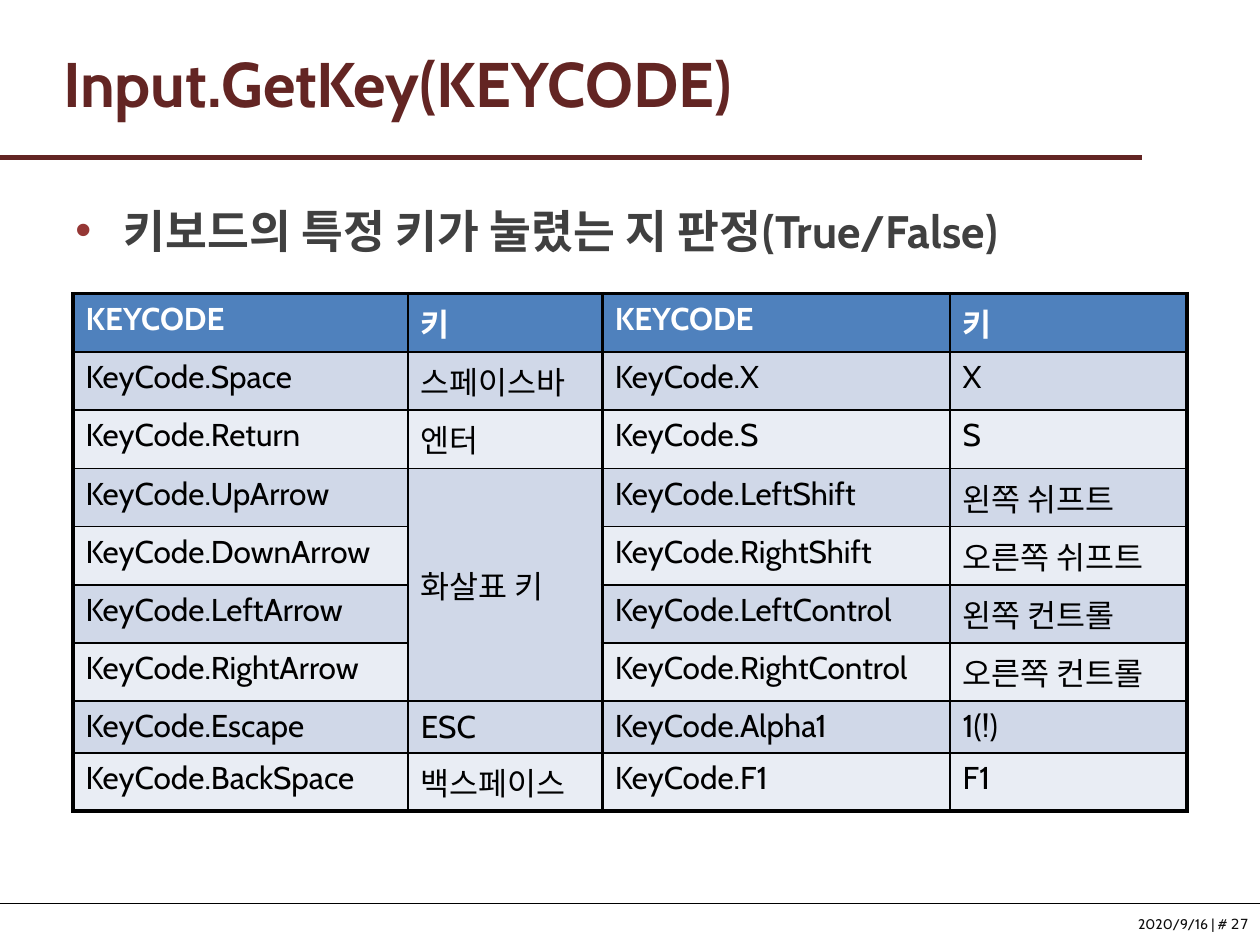
from typing import NamedTuple

from lxml import etree
from pptx import Presentation
from pptx.dml.color import RGBColor
from pptx.enum import shapes, text
from pptx.oxml.ns import qn
from pptx.util import Inches, Pt

FONT = "Cabin"
MAROON = RGBColor(0x63, 0x25, 0x23)
BULLET_RED = RGBColor(0x95, 0x37, 0x35)
CHARCOAL = RGBColor(0x40, 0x40, 0x40)
FOOTER_INK = RGBColor(0x0D, 0x0D, 0x0D)
BLACK = RGBColor(0, 0, 0)
WHITE = RGBColor(0xFF, 0xFF, 0xFF)
HEADER_BLUE = RGBColor(0x4F, 0x81, 0xBD)
BANDS = (RGBColor(0xE9, 0xED, 0xF4), RGBColor(0xD0, 0xD8, 0xE8))
THIN, THICK = 1, 2.25


class Rule(NamedTuple):
    y: float
    width: float
    color: RGBColor
    weight: float


class KeyRow(NamedTuple):
    left_code: str
    left_key: str
    right_code: str
    right_key: str


RULES = [Rule(1.25, 9.06, MAROON, 3), Rule(7.17, 10, BLACK, 1)]
KEY_ROWS = [
    KeyRow("KEYCODE", "키", "KEYCODE", "키"),
    KeyRow("KeyCode.Space", "스페이스바", "KeyCode.X", "X"),
    KeyRow("KeyCode.Return", "엔터", "KeyCode.S", "S"),
    KeyRow("KeyCode.UpArrow", "화살표 키", "KeyCode.LeftShift", "왼쪽 쉬프트"),
    KeyRow("KeyCode.DownArrow", "", "KeyCode.RightShift", "오른쪽 쉬프트"),
    KeyRow("KeyCode.LeftArrow", "", "KeyCode.LeftControl", "왼쪽 컨트롤"),
    KeyRow("KeyCode.RightArrow", "", "KeyCode.RightControl", "오른쪽 컨트롤"),
    KeyRow("KeyCode.Escape", "ESC", "KeyCode.Alpha1", "1(!)"),
    KeyRow("KeyCode.BackSpace", "백스페이스", "KeyCode.F1", "F1"),
]
COLUMN_WIDTHS = (2.66, 1.54, 2.76, 1.88)
TABLE_HEIGHT = 4.11
LATIN_ROW_HEIGHT = 0.41  # the one row without Korean text
KOREAN_ROW_HEIGHT = (TABLE_HEIGHT - LATIN_ROW_HEIGHT) / (len(KEY_ROWS) - 1)
ESCAPE_ROW = 7
ARROW_ROWS = (3, 6)


def style_font(font, size: float, color: RGBColor, bold: bool = False,
               name: str = FONT) -> None:
    font.name = name
    font.size = Pt(size)
    font.bold = bold
    font.color.rgb = color


def add_rule(page, rule: Rule) -> None:
    y = Inches(rule.y)
    line = page.shapes.add_connector(
        shapes.MSO_CONNECTOR.STRAIGHT, 0, y, Inches(rule.width), y)
    line.line.color.rgb = rule.color
    line.line.width = Pt(rule.weight)
    etree.SubElement(line._element.spPr, qn("a:effectLst"))


def add_title(page, words: str) -> None:
    title = page.shapes.title
    title.left, title.top = Inches(0.3), Inches(0.22)
    title.width, title.height = Inches(9), Inches(0.87)
    frame = title.text_frame
    frame.text = words
    frame.margin_left = Inches(0.2)
    frame.vertical_anchor = text.MSO_ANCHOR.MIDDLE
    para = frame.paragraphs[0]
    para.alignment = text.PP_ALIGN.LEFT
    style_font(para.font, 36, MAROON, bold=True)


def add_bullet_text(page, words: str) -> None:
    box = page.shapes.add_textbox(
        Inches(0.5), Inches(1.56), Inches(9), Inches(0.6))
    box.text_frame.word_wrap = True
    para = box.text_frame.paragraphs[0]
    para.text = words
    properties = para._p.get_or_add_pPr()
    properties.set("marL", str(Inches(0.38)))
    properties.set("indent", str(-Inches(0.38)))
    color = etree.SubElement(properties, qn("a:buClr"))
    etree.SubElement(color, qn("a:srgbClr"), val=str(BULLET_RED))
    etree.SubElement(properties, qn("a:buFont"), typeface="Arial")
    etree.SubElement(properties, qn("a:buChar"), char="•")
    style_font(para.font, 26, CHARCOAL, bold=True)
    # The Korean words and their spaces use the same typeface
    span_properties = para.runs[0]._r.get_or_add_rPr()
    etree.SubElement(span_properties, qn("a:ea"), typeface=FONT)


def set_borders(cell, left: float, right: float, top: float, bottom: float) -> None:
    properties = cell._tc.get_or_add_tcPr()
    edges = {"a:lnL": left, "a:lnR": right, "a:lnT": top, "a:lnB": bottom}
    for position, (tag, weight) in enumerate(edges.items()):
        edge = etree.Element(qn(tag), w=str(Pt(weight)))
        fill = etree.SubElement(edge, qn("a:solidFill"))
        etree.SubElement(fill, qn("a:srgbClr"), val=str(BLACK))
        properties.insert(position, edge)


def add_key_table(page) -> None:
    table = page.shapes.add_table(
        len(KEY_ROWS), len(COLUMN_WIDTHS), Inches(0.58), Inches(2.33),
        Inches(sum(COLUMN_WIDTHS)), Inches(TABLE_HEIGHT)).table
    for column, width in zip(table.columns, COLUMN_WIDTHS):
        column.width = Inches(width)
    last = len(KEY_ROWS) - 1
    for r, key_row in enumerate(KEY_ROWS):
        table.rows[r].height = Inches(
            LATIN_ROW_HEIGHT if r == ESCAPE_ROW else KOREAN_ROW_HEIGHT)
        header = r == 0
        for c, words in enumerate(key_row):
            cell = table.cell(r, c)
            cell.text = words
            cell.fill.solid()
            cell.fill.fore_color.rgb = HEADER_BLUE if header else BANDS[r % 2]
            if c == 1 and not header:
                cell.vertical_anchor = text.MSO_ANCHOR.MIDDLE
            style_font(cell.text_frame.paragraphs[0].font, 18,
                       WHITE if header else BLACK, bold=header)
            # Each code and key pair has a thick outer frame
            starts_pair = c % 2 == 0
            set_borders(cell,
                        left=THICK if starts_pair else THIN,
                        right=THIN if starts_pair else THICK,
                        top=THICK if header else THIN,
                        bottom=THICK if r == last else THIN)
    first_arrow, last_arrow = ARROW_ROWS
    table.cell(first_arrow, 1).merge(table.cell(last_arrow, 1))


def add_footer(page) -> None:
    box = page.shapes.add_textbox(
        Inches(8.93), Inches(7.22), Inches(1.08), Inches(0.24))
    box.text_frame.word_wrap = False
    para = box.text_frame.paragraphs[0]
    para.alignment = text.PP_ALIGN.RIGHT
    for words, name in (("2020/9/16 | # ", FONT), ("27", "DejaVu Sans")):
        span = para.add_run()
        span.text = words
        style_font(span.font, 8, FOOTER_INK, name=name)


def main() -> None:
    deck = Presentation()
    deck.slide_width, deck.slide_height = Inches(10), Inches(7.5)
    page = deck.slides.add_slide(deck.slide_layouts[5])

    # Frame of the page
    add_footer(page)
    for rule in RULES:
        add_rule(page, rule)

    # Content
    add_title(page, "Input.GetKey(KEYCODE)")
    add_bullet_text(page, "키보드의 특정 키가 눌렸는 지 판정(True/False)")
    add_key_table(page)

    deck.save("out.pptx")


if __name__ == "__main__":
    main()
